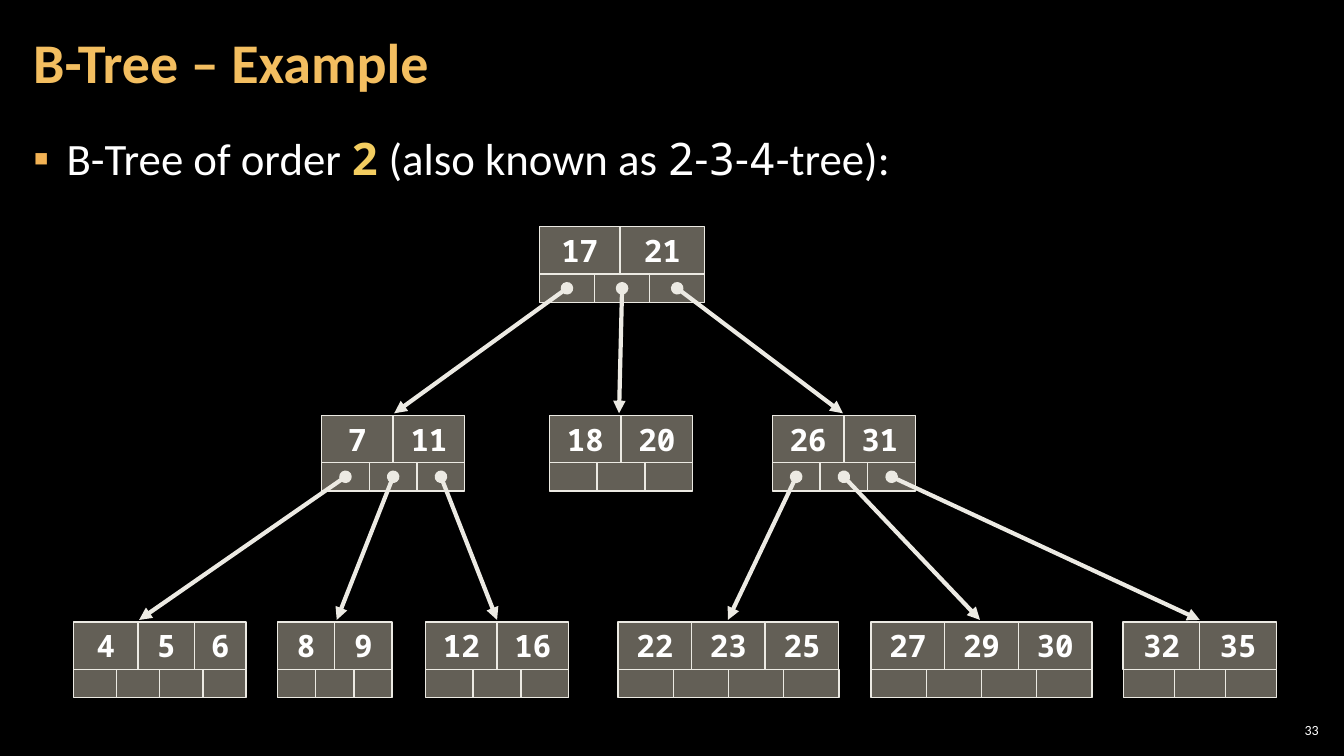
from lxml.etree import SubElement
from pptx import Presentation
from pptx.dml.color import RGBColor
from pptx.enum.shapes import MSO_CONNECTOR, MSO_SHAPE
from pptx.enum.text import MSO_ANCHOR, PP_ALIGN
from pptx.oxml.ns import qn
from pptx.util import Inches, Pt

SANS, MONO = "Calibri", "Noto Sans Mono"
WHITE, CREAM, STONE = "FFFFFF", "ECEAE3", "C7BFAC"
TITLE_GOLD, KEY_GOLD, BULLET_GOLD = "F3BE60", "F3CD60", "F2B254"

TITLE = "B-Tree – Example"
PAGE_NUMBER = "33"
STATEMENT = [
    ("B-Tree of order ", SANS, WHITE, False),
    ("2", MONO, KEY_GOLD, True),
    (" (also known as ", SANS, WHITE, False),
    ("2", MONO, WHITE, False),
    ("-", SANS, WHITE, False),
    ("3", MONO, WHITE, False),
    ("-", SANS, WHITE, False),
    ("4", MONO, WHITE, False),
    ("-tree):", SANS, WHITE, False),
]

LEVEL_TOPS = [2.25, 4.12, 6.17]
KEY_HEIGHT, POINTER_HEIGHT = 0.47, 0.28
ARROW_GAP = 0.02

# name: (level, left, x where the arrow enters, [(key, cell width)])
NODES = {
    "root": (0, 5.35, 6.17, [("17", 0.8), ("21", 0.84)]),
    "below 17": (1, 3.19, 3.91, [("7", 0.71), ("11", 0.71)]),
    "17 to 21": (1, 5.45, 6.14, [("18", 0.71), ("20", 0.71)]),
    "above 21": (1, 7.66, 8.36, [("26", 0.71), ("31", 0.71)]),
    "below 7": (2, 0.73, 1.38, [("4", 0.64), ("5", 0.56), ("6", 0.51)]),
    "7 to 11": (2, 2.75, 3.34, [("8", 0.57), ("9", 0.57)]),
    "11 to 17": (2, 4.22, 4.93, [("12", 0.71), ("16", 0.71)]),
    "21 to 26": (2, 6.13, 7.22, [("22", 0.73), ("23", 0.73), ("25", 0.73)]),
    "26 to 31": (2, 8.64, 9.72, [("27", 0.73), ("29", 0.73), ("30", 0.73)]),
    "above 31": (2, 11.14, 11.9, [("32", 0.76), ("35", 0.76)]),
}
CHILDREN = {
    "root": ["below 17", "17 to 21", "above 21"],
    "below 17": ["below 7", "7 to 11", "11 to 17"],
    "above 21": ["21 to 26", "26 to 31", "above 31"],
}


def color(value):
    return RGBColor.from_string(value)


def style_font(font, name, size, value, bold=False):
    font.name, font.size, font.bold = name, Pt(size), bold
    font.color.rgb = color(value)


def add_text_box(page, left, top, width, height, side_inset, anchor):
    box = page.shapes.add_textbox(*map(Inches, (left, top, width, height)))
    frame = box.text_frame
    frame.word_wrap = True
    frame.vertical_anchor = anchor
    frame.margin_left = frame.margin_right = Inches(side_inset)
    frame.margin_top = frame.margin_bottom = Inches(0.04)
    return frame.paragraphs[0]


def add_bullet(para, symbol, value):
    properties = para._p.get_or_add_pPr()
    properties.set("marL", str(Inches(0.33)))
    properties.set("indent", str(Inches(-0.33)))
    bullet_color = SubElement(properties, qn("a:buClr"))
    SubElement(bullet_color, qn("a:srgbClr"), val=value)
    SubElement(properties, qn("a:buFont"), typeface=SANS)
    SubElement(properties, qn("a:buChar"), char=symbol)


def add_cell(page, left, top, width, height, key=None):
    cell = page.shapes.add_shape(
        MSO_SHAPE.RECTANGLE, *map(Inches, (left, top, width, height)))
    cell.shadow.inherit = False
    cell.fill.solid()
    cell.fill.fore_color.rgb = color(STONE)
    fill_color = cell._element.spPr.find(qn("a:solidFill")).find(qn("a:srgbClr"))
    SubElement(fill_color, qn("a:alpha"), val="50000")
    cell.line.color.rgb = color(CREAM)
    cell.line.width = Pt(1)
    if key:
        cell.text_frame.vertical_anchor = MSO_ANCHOR.MIDDLE
        para = cell.text_frame.paragraphs[0]
        para.text = key
        para.alignment = PP_ALIGN.CENTER
        style_font(para.font, MONO, 22, WHITE, True)


def add_node(page, level, left, keys):
    """Draw the key row over the pointer row; return the pointer centres."""
    top = LEVEL_TOPS[level]
    key_left = left
    for key, width in keys:
        add_cell(page, key_left, top, width, KEY_HEIGHT, key)
        key_left += width
    pointer_width = (key_left - left) / (len(keys) + 1)
    pointer_top = top + KEY_HEIGHT
    centres = []
    for index in range(len(keys) + 1):
        pointer_left = left + index * pointer_width
        add_cell(page, pointer_left, pointer_top, pointer_width, POINTER_HEIGHT)
        centres.append((pointer_left + pointer_width / 2,
                        pointer_top + POINTER_HEIGHT / 2))
    return centres


def add_arrow(page, start, end):
    arrow = page.shapes.add_connector(
        MSO_CONNECTOR.STRAIGHT, *map(Inches, (*start, *end)))
    arrow.line.color.rgb = color(CREAM)
    arrow.line.width = Pt(3)
    line = arrow.line._get_or_add_ln()
    SubElement(line, qn("a:headEnd"), type="oval")
    SubElement(line, qn("a:tailEnd"), type="triangle")
    SubElement(arrow._element.spPr, qn("a:effectLst"))


def add_texts(page):
    number = add_text_box(page, 12.65, 7.14, 0.47, 0.21, 0.04, MSO_ANCHOR.MIDDLE)
    number.text = PAGE_NUMBER
    number.alignment = PP_ALIGN.RIGHT
    style_font(number.font, SANS, 10, WHITE)

    statement = add_text_box(page, 0.21, 1.26, 12.91, 6.09, 0.12, MSO_ANCHOR.TOP)
    add_bullet(statement, "▪", BULLET_GOLD)
    statement.space_after = Pt(6)
    for text, name, value, bold in STATEMENT:
        span = statement.add_run()
        span.text = text
        style_font(span.font, name, 32, value, bold)

    title = add_text_box(page, 0.21, 0.04, 10.47, 1.21, 0.12, MSO_ANCHOR.MIDDLE)
    title.text = TITLE
    title.line_spacing = 0.9
    style_font(title.font, SANS, 40, TITLE_GOLD, True)


def add_tree(page):
    pointers = {name: add_node(page, level, left, keys)
                for name, (level, left, _, keys) in NODES.items()}
    for parent, children in CHILDREN.items():
        for start, child in zip(pointers[parent], children):
            level, _, entry, _ = NODES[child]
            add_arrow(page, start, (entry, LEVEL_TOPS[level] - ARROW_GAP))


def main():
    deck = Presentation()
    deck.slide_width, deck.slide_height = Inches(13.33), Inches(7.5)
    page = deck.slides.add_slide(deck.slide_layouts[6])
    page.background.fill.solid()
    page.background.fill.fore_color.rgb = color("000000")
    add_texts(page)
    add_tree(page)
    deck.save("out.pptx")


if __name__ == "__main__":
    main()
